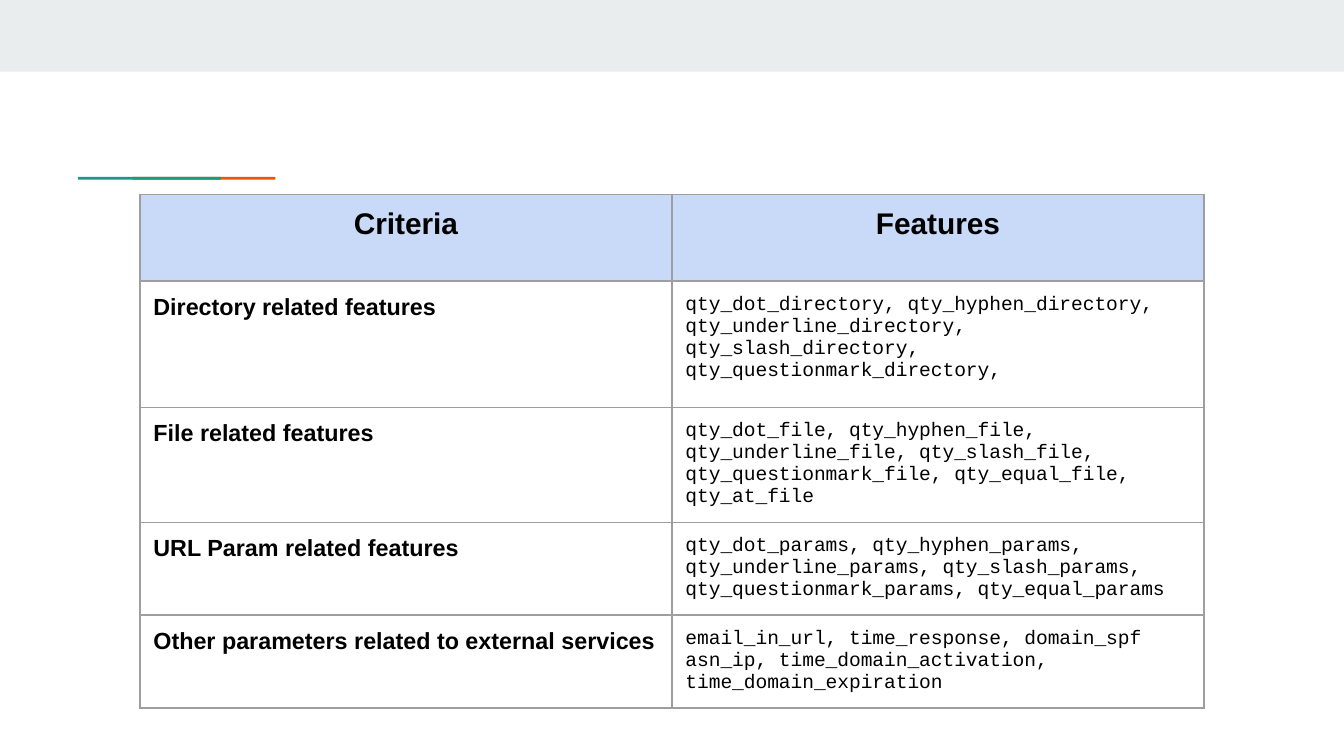
from lxml import etree
from pptx import Presentation
from pptx.dml.color import RGBColor
from pptx.enum.shapes import MSO_SHAPE
from pptx.enum.text import PP_ALIGN
from pptx.oxml.ns import qn
from pptx.util import Pt

RECT = MSO_SHAPE.RECTANGLE
LEFT, CENTER = PP_ALIGN.LEFT, PP_ALIGN.CENTER

BAND = RGBColor(0xE9, 0xED, 0xEE)
TEAL = RGBColor(0x1A, 0x99, 0x88)
ORANGE = RGBColor(0xEB, 0x56, 0x00)
HEADER = RGBColor(0xC9, 0xDA, 0xF8)
WHITE = RGBColor(0xFF, 0xFF, 0xFF)
BLACK = RGBColor(0, 0, 0)
BORDER = RGBColor(0x9E, 0x9E, 0x9E)

HEADINGS = ("Criteria", "Features")
FEATURES = [
    ("Directory related features",
     "qty_dot_directory, qty_hyphen_directory, qty_underline_directory, "
     "qty_slash_directory, qty_questionmark_directory,"),
    ("File related features",
     "qty_dot_file, qty_hyphen_file, qty_underline_file, qty_slash_file, "
     "qty_questionmark_file, qty_equal_file, qty_at_file"),
    ("URL Param related features",
     "qty_dot_params, qty_hyphen_params, qty_underline_params, "
     "qty_slash_params, qty_questionmark_params, qty_equal_params"),
    ("Other parameters related to external services",
     "email_in_url, time_response, domain_spf\n"
     "asn_ip, time_domain_activation, time_domain_expiration"),
]
ROW_HEIGHTS = (46.3, 67.8, 61.2, 49.6, 49.8)
COLUMN_WIDTH = 285


def add_bar(slide, left, top, width, height, color):
    sp = slide.shapes.add_shape(RECT, Pt(left), Pt(top), Pt(width), Pt(height))
    sp.shadow.inherit = False
    sp.fill.solid()
    sp.fill.fore_color.rgb = color
    sp.line.fill.background()


def set_borders(cell):
    tc_pr = cell._tc.get_or_add_tcPr()
    for index, side in enumerate(("lnL", "lnR", "lnT", "lnB")):
        ln = etree.Element(qn(f"a:{side}"), w=str(Pt(0.75)))
        fill = etree.SubElement(ln, qn("a:solidFill"))
        etree.SubElement(fill, qn("a:srgbClr"), val=str(BORDER))
        tc_pr.insert(index, ln)


def fill_cell(cell, text, size, font="Arial", bold=True, align=LEFT, color=WHITE):
    cell.margin_left = cell.margin_right = Pt(7.2)
    cell.margin_top = cell.margin_bottom = Pt(7.2)
    cell.fill.solid()
    cell.fill.fore_color.rgb = color
    set_borders(cell)
    cell.text_frame.text = text
    for p in cell.text_frame.paragraphs:
        p.alignment = align
        p.font.name = font
        p.font.size = Pt(size)
        p.font.bold = bold
        p.font.color.rgb = BLACK


def add_feature_table(slide, left, top):
    table = slide.shapes.add_table(
        len(ROW_HEIGHTS), len(HEADINGS), Pt(left), Pt(top),
        Pt(COLUMN_WIDTH * len(HEADINGS)), Pt(sum(ROW_HEIGHTS))).table
    table.first_row = False
    table.horz_banding = False
    for row, height in zip(table.rows, ROW_HEIGHTS):
        row.height = Pt(height)
    for column, heading in enumerate(HEADINGS):
        fill_cell(table.cell(0, column), heading, 16, align=CENTER, color=HEADER)
    for row, (criterion, names) in enumerate(FEATURES, start=1):
        fill_cell(table.cell(row, 0), criterion, 12.5)
        fill_cell(table.cell(row, 1), names, 10.5, font="Courier New", bold=False)


def main():
    prs = Presentation()
    prs.slide_width = Pt(720)
    prs.slide_height = Pt(405)
    slide = prs.slides.add_slide(prs.slide_layouts[6])
    add_bar(slide, 0, 0, 720, 38.4, BAND)
    add_bar(slide, 71.1, 94.8, 76.5, 1.5, ORANGE)
    add_bar(slide, 41.8, 94.8, 76.5, 1.5, TEAL)
    add_feature_table(slide, 75, 104.2)
    prs.save("out.pptx")


if __name__ == "__main__":
    main()
